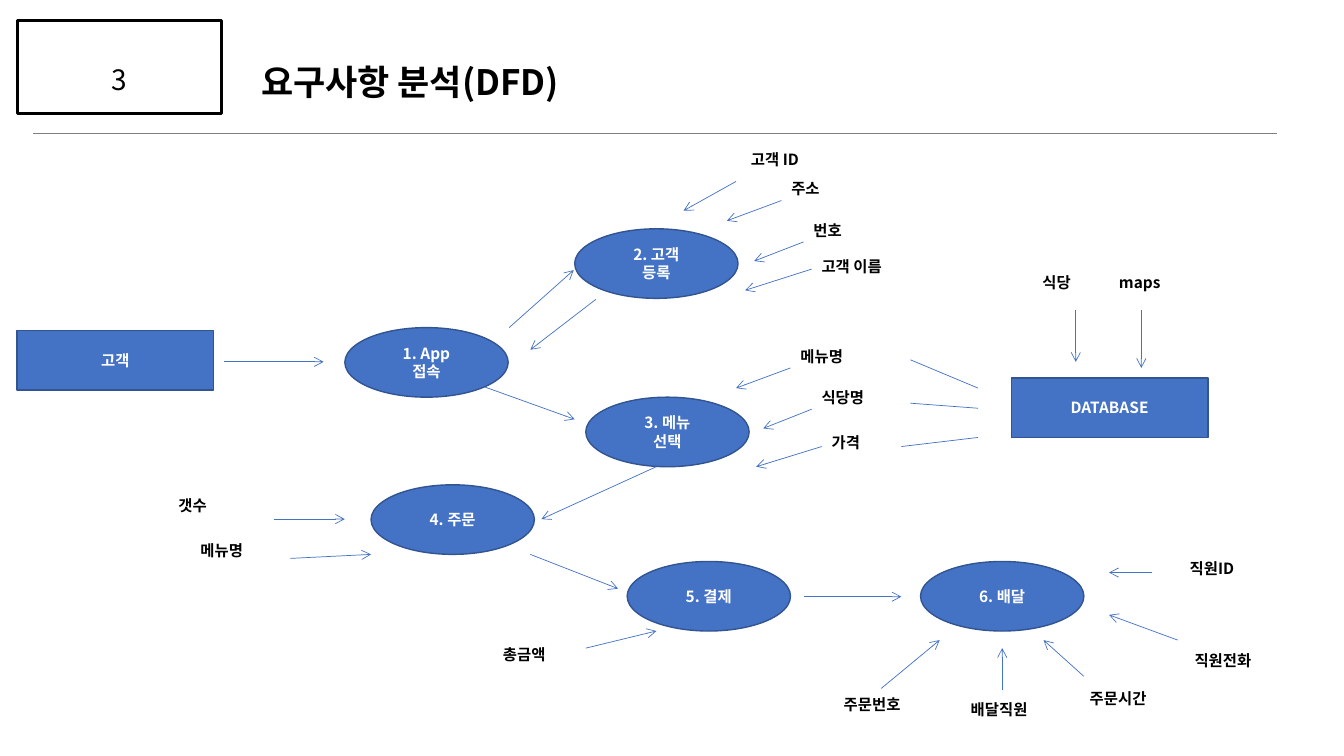
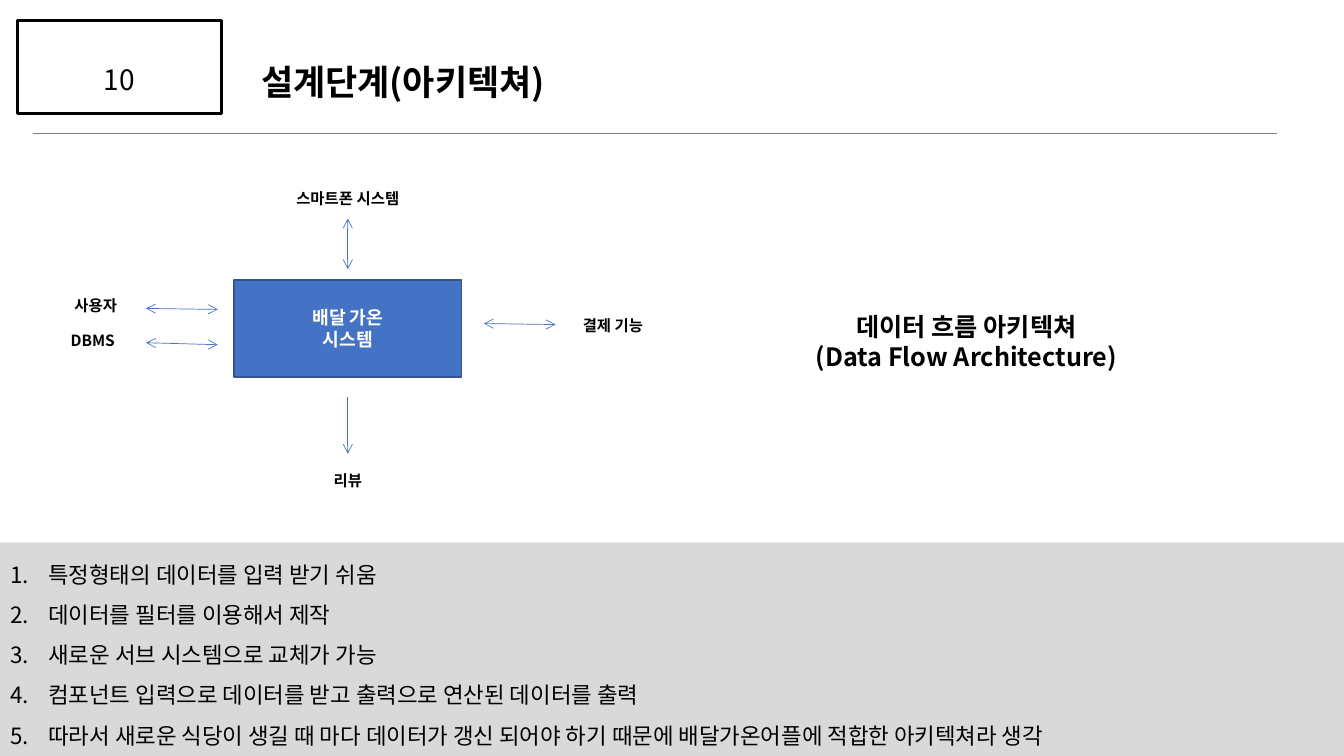
from dataclasses import dataclass
from typing import NamedTuple

from lxml import etree
from pptx import Presentation
from pptx.dml.color import RGBColor
from pptx.enum import shapes, text
from pptx.oxml import ns
from pptx.util import Inches, Pt

SHAPE, ALIGN, ANCHOR = shapes.MSO_SHAPE, text.PP_ALIGN, text.MSO_ANCHOR


@dataclass(frozen=True)
class Theme:
    """Colours, font and type sizes of the deck."""
    font: str = "Noto Sans CJK KR"
    ink: str = "000000"
    paper: str = "FFFFFF"
    accent: str = "4472C4"
    edge: str = "325491"
    rule: str = "808080"
    band: str = "D9D9D9"
    title: int = 25
    number: int = 20
    caption: int = 18
    body: int = 16
    system: int = 13
    label: int = 11


class Box(NamedTuple):
    """A region in inches."""
    x: float
    y: float
    w: float
    h: float

    def place(self, sp):
        """Move and size a shape to this box."""
        sp.left, sp.top, sp.width, sp.height = map(Inches, self)


class Item(NamedTuple):
    """A label beside a node and its arrow, relative to the node."""
    name: str
    x: float
    y: float
    start: tuple
    end: tuple
    both: bool = False


T = Theme()
NUMBER_BOX = Box(0.17, 0.2, 2.03, 0.93)
TITLE_BOX = Box(2.49, 0.54, 7.48, 0.54)
BAND_BOX = Box(0, 5.38, 13.33, 2.12)
ACTOR_SIZE = (1.95, 0.59)
PROCESS_SIZE = (1.62, 0.69)

PROCESSES = [
    ("1. App\n접속", 3.42, 3.25, ALIGN.LEFT, []),
    ("2. 고객\n등록", 5.7, 2.27, ALIGN.LEFT, [
        Item("고객 ID", 1.65, -0.83, (1.6, -0.47), (1.08, -0.18)),
        Item("주소", 2.05, -0.54, (2.05, -0.28), (1.51, -0.08)),
        Item("번호", 2.27, -0.13, (2.27, 0.13), (1.78, 0.32)),
        Item("고객 이름", 2.35, 0.23, (2.35, 0.4), (1.69, 0.61))]),
    ("3. 메뉴\n선택", 5.81, 3.94, ALIGN.LEFT, [
        Item("메뉴명", 2.03, -0.55, (2.03, -0.29), (1.49, -0.09)),
        Item("식당명", 2.24, -0.14, (2.24, 0.12), (1.76, 0.31)),
        Item("가격", 2.34, 0.31, (2.34, 0.49), (1.69, 0.69))]),
    ("4. 주문", 3.68, 4.81, ALIGN.CENTER, [
        Item("갯수", -1.77, 0.06, (-0.96, 0.34), (-0.26, 0.34)),
        Item("메뉴명", -1.48, 0.51, (-0.8, 0.73), (0, 0.69))]),
    ("5. 결제", 6.22, 5.57, ALIGN.CENTER, [
        Item("총금액", -1.02, 0.78, (-0.41, 0.86), (0.29, 0.69))]),
    ("6. 배달", 9.13, 5.57, ALIGN.CENTER, [
        Item("주문번호", -0.48, 1.28, (-0.39, 1.26), (0.19, 0.78)),
        Item("배달직원", 0.78, 1.33, (0.81, 1.28), (0.81, 0.86)),
        Item("주문시간", 1.96, 1.22, (1.62, 1.14), (1.22, 0.78)),
        Item("직원전화", 3, 0.84, (2.55, 0.78), (1.87, 0.53)),
        Item("직원ID", 2.89, -0.07, (2.3, 0.11), (1.87, 0.11))]),
]
TABLES = [
    Item("식당", 0.21, -1.09, (0.64, -0.67), (0.64, -0.16)),
    Item("maps", 0.97, -1.09, (1.29, -0.67), (1.29, -0.1)),
]
FLOWS = [
    ((2.22, 3.59), (3.21, 3.59)),
    ((5.05, 3.25), (5.69, 2.68)),
    ((5.91, 2.97), (5.26, 3.47)),
    ((4.81, 3.84), (5.7, 4.16)),
    ((6.51, 4.63), (5.37, 5.15)),
    ((5.26, 5.5), (6.13, 5.84)),
    ((7.97, 5.92), (8.94, 5.92)),
]
LOOKUPS = [
    ((9.03, 3.57), (9.7, 3.85)),
    ((9.03, 4), (9.7, 4.05)),
    ((8.94, 4.43), (9.7, 4.34)),
]
NEIGHBOURS = [
    Item("스마트폰 시스템", 1.13, -0.95, (1.13, -0.61), (1.13, -0.11), True),
    Item("사용자", -1.37, 0.11, (-0.87, 0.28), (-0.16, 0.29), True),
    Item("DBMS", -1.4, 0.46, (-0.87, 0.62), (-0.16, 0.64), True),
    Item("결제 기능", 3.76, 0.31, (2.48, 0.43), (3.19, 0.44), True),
    Item("리뷰", 1.13, 1.84, (1.13, 1.16), (1.13, 1.72)),
]
REASONS = """특정형태의 데이터를 입력 받기 쉬움
데이터를 필터를 이용해서 제작
새로운 서브 시스템으로 교체가 가능
컴포넌트 입력으로 데이터를 받고 출력으로 연산된 데이터를 출력
따라서 새로운 식당이 생길 때 마다 데이터가 갱신 되어야 하기 때문에 배달가온어플에 적합한 아키텍쳐라 생각"""


def rgb(value):
    """Return a colour from its hex value."""
    return RGBColor.from_string(value)


def write(sp, words, size, color=T.ink, bold=True, align=ALIGN.CENTER, anchor=ANCHOR.TOP):
    """Fill a shape with formatted paragraphs, one for each line."""
    tf = sp.text_frame
    tf.text = words
    tf.word_wrap = True
    tf.auto_size = text.MSO_AUTO_SIZE.NONE
    tf.vertical_anchor = anchor
    for p in tf.paragraphs:
        p.alignment = align
        p.font.size, p.font.bold, p.font.name = Pt(size), bold, T.font
        p.font.color.rgb = rgb(color)
        latin = p._p.pPr.find(".//" + ns.qn("a:latin"))
        ea = etree.Element(ns.qn("a:ea"), typeface=T.font)
        latin.addnext(ea)
    return tf


def add_box(slide, kind, box, line, width, fill=None):
    """Add a flat outlined shape."""
    sp = slide.shapes.add_shape(kind, *map(Inches, box))
    sp.shadow.inherit = False
    if fill:
        sp.fill.solid()
        sp.fill.fore_color.rgb = rgb(fill)
    else:
        sp.fill.background()
    sp.line.color.rgb = rgb(line)
    sp.line.width = Pt(width)
    return sp


def add_line(slide, start, end, color=T.accent, ends=("tailEnd",)):
    """Add a thin line with open arrowheads at the named ends."""
    cx = slide.shapes.add_connector(
        shapes.MSO_CONNECTOR.STRAIGHT, *map(Inches, (*start, *end)))
    cx.line.color.rgb = rgb(color)
    cx.line.width = Pt(0.5)
    for name in ends:
        etree.SubElement(cx.line._get_or_add_ln(), ns.qn("a:" + name), type="arrow")
    etree.SubElement(cx._element.spPr, ns.qn("a:effectLst"))


def add_text(slide, box, words, size, align=ALIGN.CENTER):
    """Add a bold text box."""
    sp = slide.shapes.add_textbox(*map(Inches, box))
    write(sp, words, size, align=align)


def add_node(slide, kind, box, name, items=(), align=ALIGN.CENTER, size=T.label, label_w=1.2):
    """Add a node with its surrounding labels and arrows."""
    sp = add_box(slide, kind, box, T.edge, 1, T.accent)
    write(sp, name, size, T.paper, anchor=ANCHOR.MIDDLE)
    shift = label_w / 2 if align == ALIGN.CENTER else 0
    for item in items:
        label = Box(box.x + item.x - shift, box.y + item.y, label_w, 0.36)
        add_text(slide, label, item.name, T.label, align)
        start, end = ((box.x + x, box.y + y) for x, y in (item.start, item.end))
        add_line(slide, start, end, ends=("headEnd", "tailEnd") if item.both else ("tailEnd",))


def add_header(slide, number, title):
    """Add the numbered frame, the title and the rule."""
    sp = add_box(slide, SHAPE.RECTANGLE, NUMBER_BOX, T.ink, 2)
    tf = write(sp, number, T.number, bold=False, anchor=ANCHOR.BOTTOM)
    tf.margin_bottom = Inches(0.18)
    TITLE_BOX.place(slide.shapes.title)
    write(slide.shapes.title, title, T.title, align=ALIGN.LEFT, anchor=ANCHOR.MIDDLE)
    add_line(slide, (0.33, 1.32), (12.67, 1.32), T.rule, ())


def add_numbered_band(slide, box, words):
    """Turn the body placeholder into a shaded numbered list."""
    sp = slide.placeholders[1]
    box.place(sp)
    sp.fill.solid()
    sp.fill.fore_color.rgb = rgb(T.band)
    tf = write(sp, words, T.body, bold=False, align=ALIGN.LEFT)
    for p in tf.paragraphs:
        p.line_spacing = 1.5
        p.space_before = Pt(0)
        pPr = p._p.pPr
        pPr.set("marL", str(Inches(0.38)))
        pPr.set("indent", str(-Inches(0.38)))
        number = etree.Element(ns.qn("a:buAutoNum"), type="arabicPeriod")
        pPr.find(ns.qn("a:defRPr")).addprevious(number)


def build_dfd(prs):
    """Build the data flow diagram slide."""
    slide = prs.slides.add_slide(prs.slide_layouts[5])
    add_header(slide, "3", "요구사항 분석(DFD)")
    add_node(slide, SHAPE.RECTANGLE, Box(0.17, 3.28, *ACTOR_SIZE), "고객")
    for name, x, y, align, items in PROCESSES:
        add_node(slide, SHAPE.OVAL, Box(x, y, *PROCESS_SIZE), name, items, align)
    add_node(slide, SHAPE.RECTANGLE, Box(10.03, 3.75, *ACTOR_SIZE), "DATABASE",
             TABLES, ALIGN.LEFT)
    for start, end in FLOWS:
        add_line(slide, start, end)
    for start, end in LOOKUPS:
        add_line(slide, start, end, ends=())


def build_architecture(prs):
    """Build the architecture slide."""
    slide = prs.slides.add_slide(prs.slide_layouts[1])
    add_header(slide, "10", "설계단계(아키텍쳐)")
    add_numbered_band(slide, BAND_BOX, REASONS)
    add_node(slide, SHAPE.RECTANGLE, Box(2.32, 2.78, 2.26, 0.96), "배달 가온\n시스템",
             NEIGHBOURS, size=T.system, label_w=1.8)
    add_text(slide, Box(7.25, 3.04, 4.67, 0.71),
             "데이터 흐름 아키텍쳐\n(Data Flow Architecture)", T.caption)


def main():
    """Build and save the deck."""
    prs = Presentation()
    prs.slide_width, prs.slide_height = Inches(13.33), Inches(7.5)
    build_dfd(prs)
    build_architecture(prs)
    prs.save("out.pptx")


if __name__ == "__main__":
    main()
